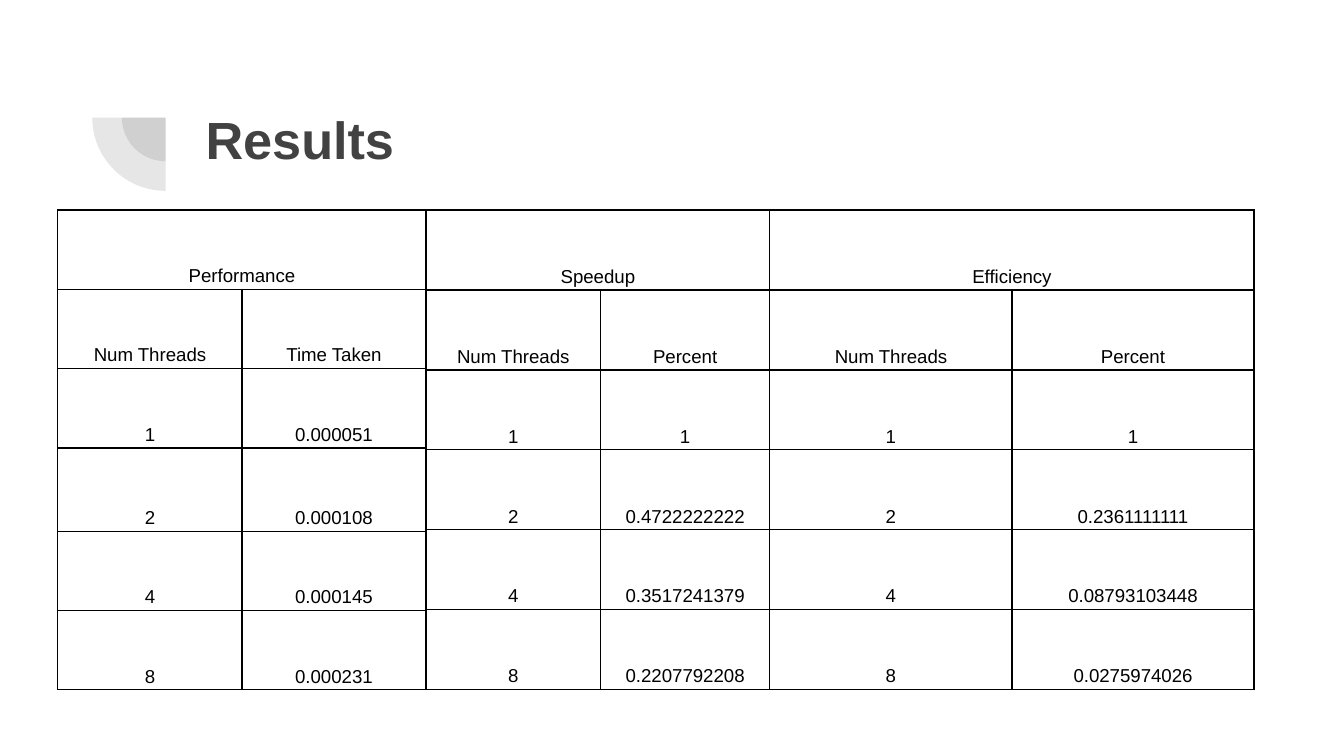
from lxml import etree
from pptx import Presentation
from pptx.dml.color import RGBColor
from pptx.enum.shapes import MSO_SHAPE
from pptx.enum.text import MSO_ANCHOR, PP_ALIGN
from pptx.oxml import parse_xml
from pptx.oxml.ns import nsdecls, qn
from pptx.util import Pt

PIE = MSO_SHAPE.PIE
BOTTOM, TOP = MSO_ANCHOR.BOTTOM, MSO_ANCHOR.TOP
CENTER = PP_ALIGN.CENTER

# Content
TITLE = "Results"
THREADS = ["1", "2", "4", "8"]
TABLES = [
    {"head": "Performance", "unit": "Time Taken", "cols": [98.6, 98.6],
     "rows": [42.5, 42.5, 42.5, 44.6, 42.5, 42.5],
     "data": ["0.000051", "0.000108", "0.000145", "0.000231"]},
    {"head": "Speedup", "unit": "Percent", "cols": [93.5, 90.7],
     "rows": [42.85] * 6,
     "data": ["1", "0.4722222222", "0.3517241379", "0.2207792208"]},
    {"head": "Efficiency", "unit": "Percent", "cols": [129.7, 129.7],
     "rows": [42.85] * 6,
     "data": ["1", "0.2361111111", "0.08793103448", "0.0275974026"]},
]

# Style and layout, in points
COLORS = {"dark": "424242", "ink": "000000"}
FONT = "Arial"
LEFT, TABLE_TOP = 31, 112.5
PIE_X, PIE_Y, PIE_SIZES = 88.7, 63, [46.8, 78.5]


def color(name):
    return RGBColor.from_string(COLORS[name])


def style(par, size, name, bold=False):
    font = par.font
    font.name, font.size, font.bold = FONT, Pt(size), bold
    font.color.rgb = color(name)


def add_pie(slide, size):
    pie = slide.shapes.add_shape(
        PIE, Pt(PIE_X - size / 2), Pt(PIE_Y - size / 2), Pt(size), Pt(size))
    pie.adjustments[0], pie.adjustments[1] = 108, 162
    pie.rotation = 270
    pie.shadow.inherit = False
    pie.line.fill.background()
    pie.fill.solid()
    pie.fill.fore_color.rgb = color("dark")
    tint = pie.fill._xPr.find(".//" + qn("a:srgbClr"))
    etree.SubElement(tint, qn("a:alpha"), val="13000")


def add_title(slide):
    box = slide.shapes.add_textbox(Pt(103), Pt(46.8), Pt(553.7), Pt(78.5))
    frame = box.text_frame
    frame.word_wrap, frame.vertical_anchor = True, TOP
    frame.margin_left = frame.margin_right = Pt(7.2)
    frame.margin_top = frame.margin_bottom = Pt(7.2)
    par = frame.paragraphs[0]
    par.text, par.line_spacing = TITLE, 1.1
    style(par, 28, "dark", True)


def add_borders(cell):
    props = cell._tc.get_or_add_tcPr()
    for pos, side in enumerate("LRTB"):
        props.insert(pos, parse_xml(
            f'<a:ln{side} {nsdecls("a")} w="9525"><a:solidFill>'
            f'<a:srgbClr val="{COLORS["ink"]}"/></a:solidFill></a:ln{side}>'))


def fill_cell(cell, text):
    cell.fill.background()
    cell.vertical_anchor = BOTTOM
    cell.margin_left = cell.margin_right = Pt(2.25)
    cell.margin_top = cell.margin_bottom = Pt(1.5)
    par = cell.text_frame.paragraphs[0]
    par.text, par.alignment, par.line_spacing = text, CENTER, 1.15
    style(par, 10, "ink")
    add_borders(cell)


def add_grid(slide, part, left):
    cols, rows = part["cols"], part["rows"]
    grid = slide.shapes.add_table(
        len(rows), len(cols), Pt(left), Pt(TABLE_TOP),
        Pt(sum(cols)), Pt(sum(rows))).table
    grid.first_row = grid.horz_banding = False
    for col, width in zip(grid.columns, cols):
        col.width = Pt(width)
    for row, height in zip(grid.rows, rows):
        row.height = Pt(height)
    lines = [(part["head"], ""), ("Num Threads", part["unit"])]
    lines += zip(THREADS, part["data"])
    for r, line in enumerate(lines):
        for c, text in enumerate(line):
            fill_cell(grid.cell(r, c), text)
    grid.cell(0, 0).merge(grid.cell(0, 1))


def main():
    deck = Presentation()
    deck.slide_width, deck.slide_height = Pt(720), Pt(405)
    slide = deck.slides.add_slide(deck.slide_layouts[6])

    # Quarter circles and title
    for size in PIE_SIZES:
        add_pie(slide, size)
    add_title(slide)

    # Tables, side by side
    left = LEFT
    for part in TABLES:
        add_grid(slide, part, left)
        left += sum(part["cols"])

    deck.save("out.pptx")


if __name__ == "__main__":
    main()
